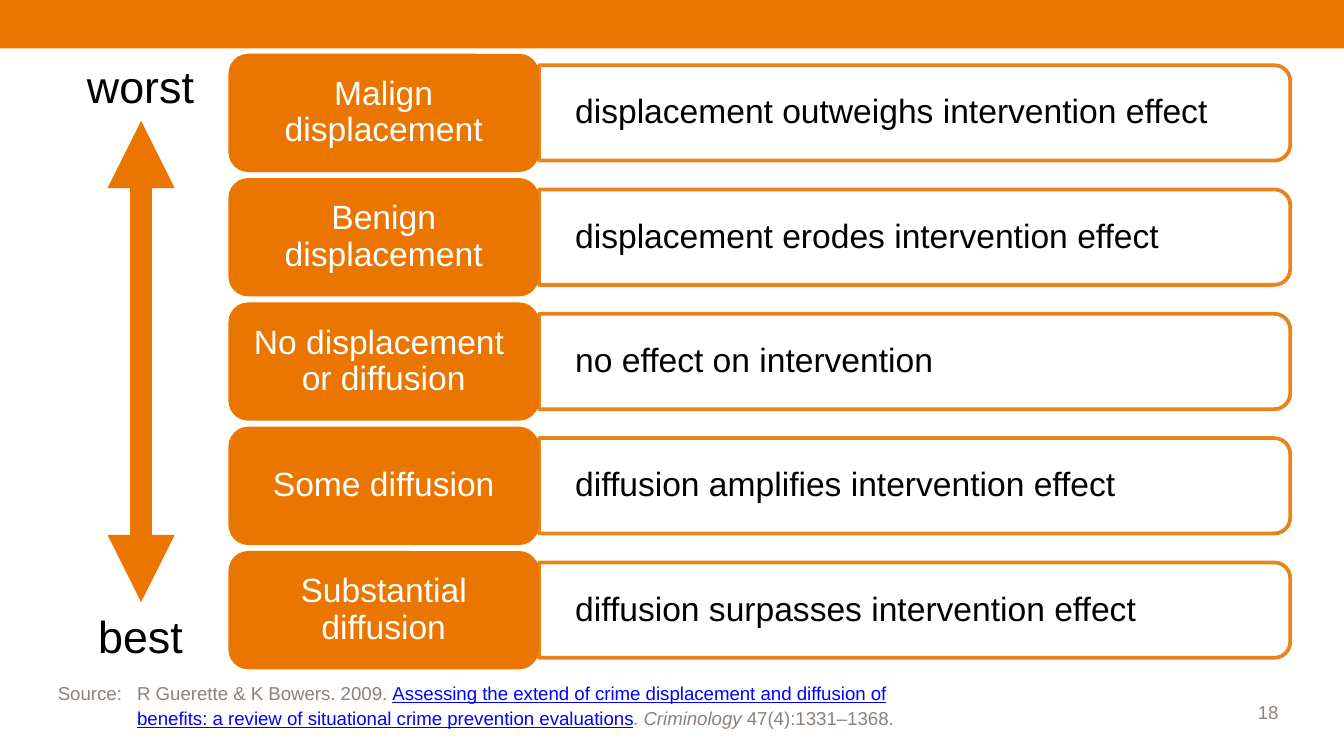
"""Build a slide ranking displacement and diffusion outcomes from worst to best."""
import pptx
import pptx.util
import pptx.dml.color
import pptx.enum.shapes
import pptx.enum.text
import pptx.oxml.ns
from lxml import etree

Inches, Pt = pptx.util.Inches, pptx.util.Pt
SHAPE = pptx.enum.shapes.MSO_SHAPE
ALIGN = pptx.enum.text.PP_ALIGN
ANCHOR = pptx.enum.text.MSO_ANCHOR

ORANGE, GREY, BLACK, WHITE, BLUE = "EA7600", "8C8279", "000000", "FFFFFF", "0000FF"
OUTCOMES = [
    ("Malign displacement", "displacement outweighs intervention effect"),
    ("Benign displacement", "displacement erodes intervention effect"),
    ("No displacement \nor diffusion", "no effect on intervention"),
    ("Some diffusion", "diffusion amplifies intervention effect"),
    ("Substantial diffusion", "diffusion surpasses intervention effect"),
]
SCALE_ENDS = [("worst", 0.39), ("best", 4.48)]
SOURCE = [
    ("Source:\tR Guerette & K Bowers. 2009. ", {}),
    ("Assessing the extend of crime displacement and diffusion of benefits: "
     "a review of situational crime prevention evaluations",
     {"color": BLUE, "underline": True}),
    (". ", {}),
    ("Criminology ", {"italic": True}),
    ("47(4):1331–1368.", {}),
]
FIRST_TOP, LAST_TOP = 0.4, 4.1
PITCH = (LAST_TOP - FIRST_TOP) / (len(OUTCOMES) - 1)
LABEL_LEFT, LABEL_W, LABEL_H = 1.7, 2.31, 0.88
BAR_W, BAR_H = 5.59, 0.71


def rgb(value):
    return pptx.dml.color.RGBColor.from_string(value)


def add_xml(parent, tag, **attrs):
    child = etree.SubElement(parent, pptx.oxml.ns.qn(tag))
    for name, value in attrs.items():
        child.set(name, str(value))
    return child


def set_alpha(fill, percent):
    color = fill._xPr.find(".//" + pptx.oxml.ns.qn("a:srgbClr"))
    add_xml(color, "a:alpha", val=percent * 1000)


def add_shape(s, kind, x, y, w, h, fill=None, line=None):
    sp = s.shapes.add_shape(kind, Inches(x), Inches(y), Inches(w), Inches(h))
    sp.shadow.inherit = False
    if fill:
        sp.fill.solid()
        sp.fill.fore_color.rgb = rgb(fill)
    else:
        sp.fill.background()
    if line:
        sp.line.color.rgb = rgb(line)
        sp.line.width = Pt(2)
    else:
        sp.line.fill.background()
    return sp


def add_box(s, x, y, w, h):
    return s.shapes.add_textbox(Inches(x), Inches(y), Inches(w), Inches(h))


def write(sp, runs, size, color, insets=(0.1, 0.05), anchor=ANCHOR.MIDDLE, hanging=0, **para):
    tf = sp.text_frame
    dx, dy = map(Inches, insets)
    frame = {"word_wrap": True, "vertical_anchor": anchor, "margin_left": dx,
             "margin_right": dx, "margin_top": dy, "margin_bottom": dy}
    for name, value in frame.items():
        setattr(tf, name, value)
    p = tf.paragraphs[0]
    for name, value in {"alignment": ALIGN.LEFT, **para}.items():
        setattr(p, name, value)
    if hanging:
        pPr = p._p.get_or_add_pPr()
        pPr.set("marL", str(Inches(hanging)))
        pPr.set("indent", str(-Inches(hanging)))
    for text, style in runs:
        for i, part in enumerate(text.split("\n")):
            if i:
                p.add_line_break()
            r = p.add_run()
            r.text = part
            font = {"name": "Arial", "size": Pt(size), "color": color, **style}
            r.font.color.rgb = rgb(font.pop("color"))
            for name, value in font.items():
                setattr(r.font, name, value)


def add_outcome(s, y, label, effect):
    middle = y + LABEL_H / 2
    bar_left = LABEL_LEFT + LABEL_W
    bar = add_shape(s, SHAPE.ROUND_2_SAME_RECTANGLE, bar_left + (BAR_W - BAR_H) / 2,
                    middle - BAR_W / 2, BAR_H, BAR_W, line=ORANGE)
    bar.rotation = 90
    set_alpha(bar.line.fill, 90)
    write(add_box(s, bar_left, middle - 0.32, 5.56, 0.64), [(effect, {})], 18, BLACK,
          (0.27, 0.14), hanging=0.19, line_spacing=0.9)
    sp = add_shape(s, SHAPE.ROUNDED_RECTANGLE, LABEL_LEFT, y, LABEL_W, LABEL_H, ORANGE)
    write(sp, [(label, {})], 18, WHITE, (0.07, 0.04), alignment=ALIGN.CENTER, line_spacing=0.9)


def add_scale(s, x, top, bottom):
    arrow = s.shapes.add_connector(pptx.enum.shapes.MSO_CONNECTOR.STRAIGHT,
                                   Inches(x), Inches(top), Inches(x), Inches(bottom))
    arrow.line.color.rgb = rgb(ORANGE)
    arrow.line.width = Pt(12)
    ln = arrow.line._get_or_add_ln()
    for tag in ("a:headEnd", "a:tailEnd"):
        add_xml(ln, tag, type="triangle")
    add_xml(arrow._element.spPr, "a:effectLst")
    for word, y in SCALE_ENDS:
        write(add_box(s, 0.39, y, 1.31, 0.5), [(word, {})], 24, BLACK,
              anchor=ANCHOR.TOP, alignment=ALIGN.CENTER)


def main():
    prs = pptx.Presentation()
    prs.slide_width = Inches(10)
    prs.slide_height = prs.slide_width * 9 // 16
    s = prs.slides.add_slide(prs.slide_layouts[6])
    add_shape(s, SHAPE.RECTANGLE, 0, 0, 10, 0.36, ORANGE)
    write(add_box(s, 8.82, 4.99, 0.79, 0.44), [("18", {})], 10, GREY,
          anchor=ANCHOR.BOTTOM, alignment=ALIGN.RIGHT)
    for i, (label, effect) in enumerate(OUTCOMES):
        add_outcome(s, FIRST_TOP + i * PITCH, label, effect)
    source = add_shape(s, SHAPE.RECTANGLE, 0.39, 5.02, 6.39, 0.44, WHITE)
    set_alpha(source.fill, 85)
    write(source, SOURCE, 10, GREY, (0.04, 0.04), hanging=0.59, line_spacing=1.1)
    add_scale(s, 1.05, 0.9, 4.48)
    prs.save("out.pptx")


if __name__ == "__main__":
    main()
